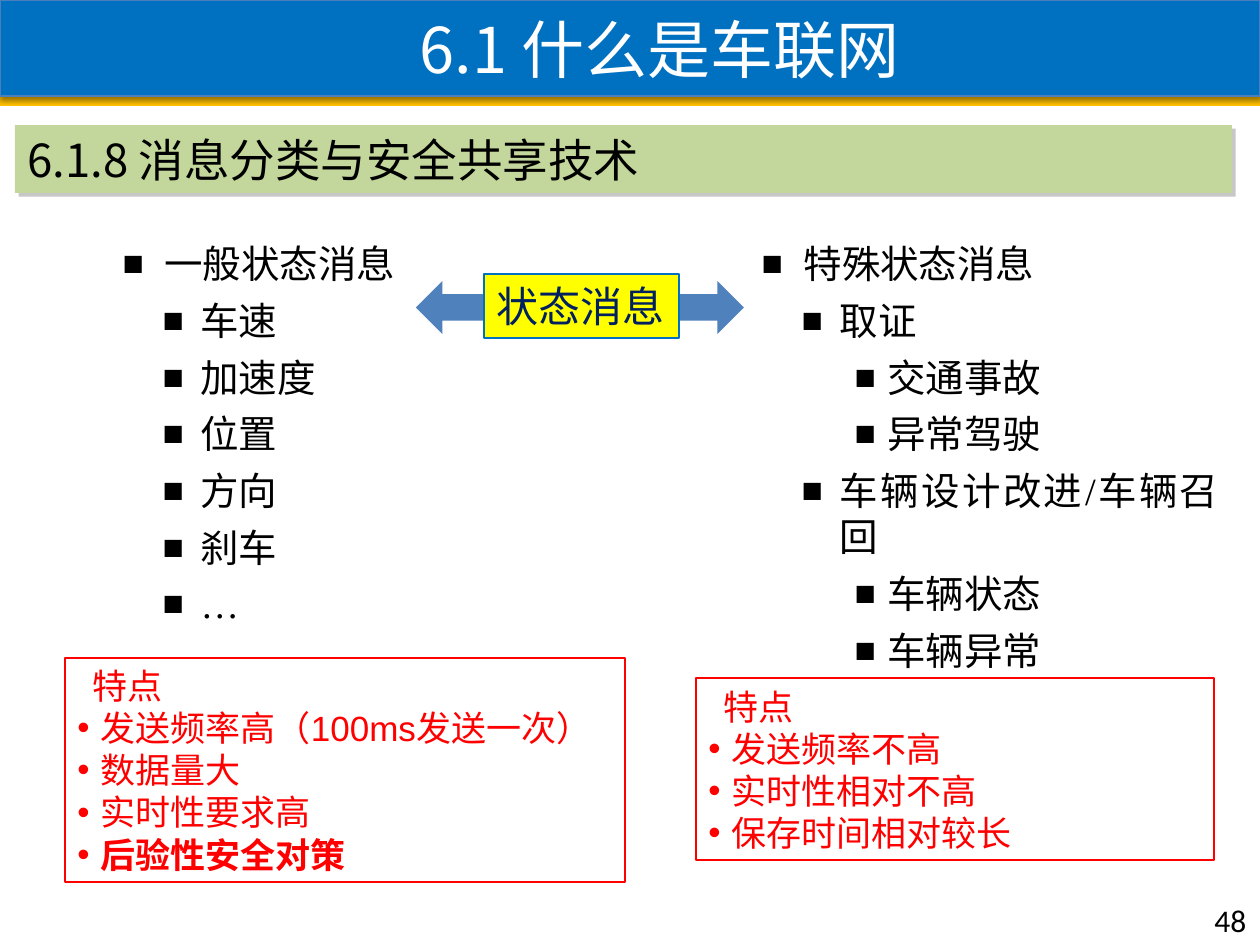
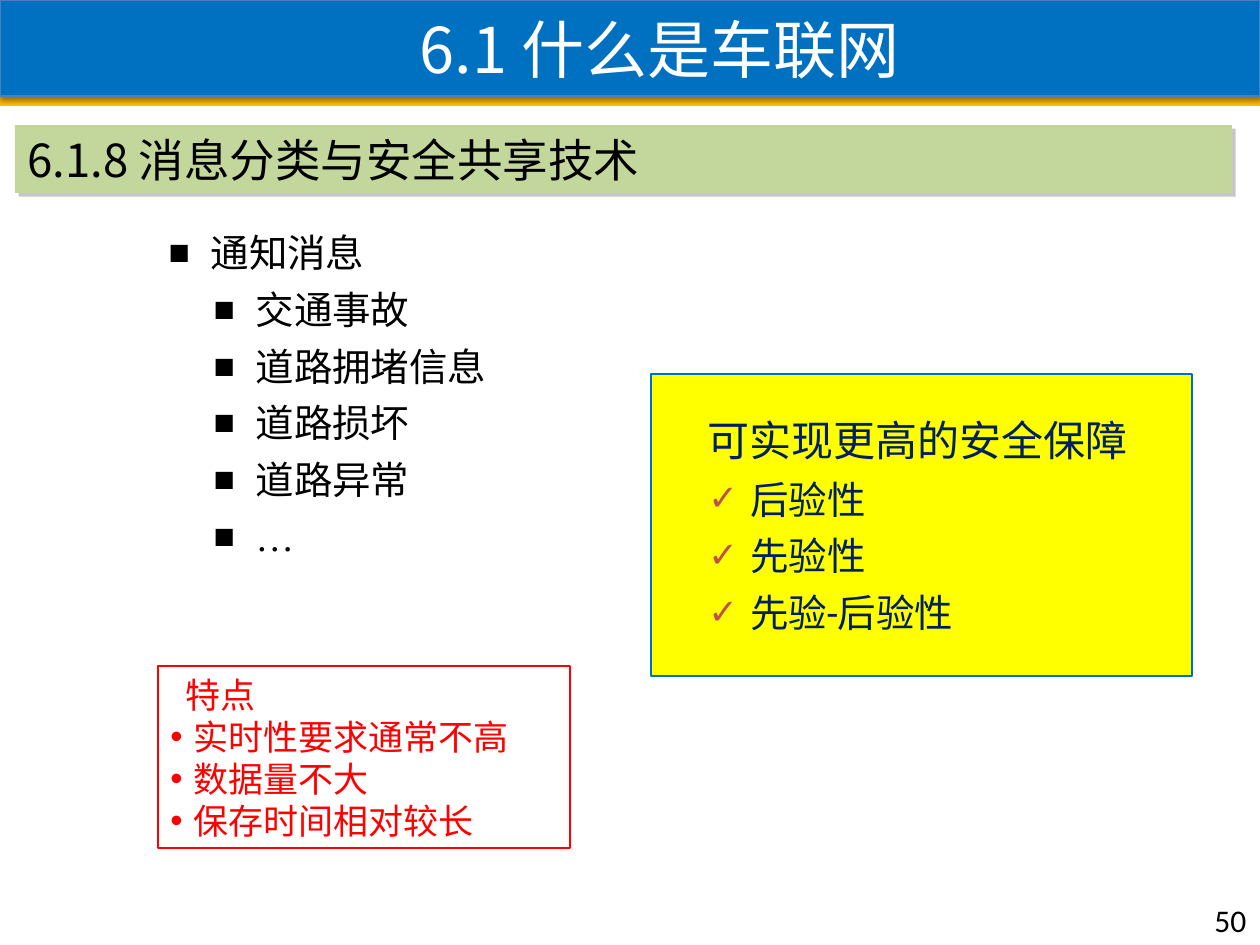
from lxml import etree
from pptx import Presentation
from pptx import util as u
from pptx.dml.color import RGBColor
from pptx.enum import shapes, text
from pptx.oxml import ns

EMU_PER_PX = 914400 / 126

BLUE = RGBColor(0x00, 0x70, 0xC0)
TITLE_EDGE = RGBColor(0x4B, 0x7E, 0xBC)
GOLD = RGBColor(0xFF, 0xC0, 0x00)
GREEN = RGBColor(0xC3, 0xD6, 0x9B)
YELLOW = RGBColor(0xFF, 0xFF, 0x00)
ARROW_BLUE = RGBColor(0x4F, 0x81, 0xBD)
NAVY = RGBColor(0x00, 0x20, 0x60)
RED = RGBColor(0xFF, 0x00, 0x00)
BRICK = RGBColor(0xC0, 0x50, 0x4D)
GREY = RGBColor(0x80, 0x80, 0x80)
BLACK = RGBColor(0x00, 0x00, 0x00)
WHITE = RGBColor(0xFF, 0xFF, 0xFF)

CJK_FONT = "Noto Sans CJK SC"
LEFT, JUSTIFY, CENTER = (
    text.PP_ALIGN.LEFT, text.PP_ALIGN.JUSTIFY, text.PP_ALIGN.CENTER)

# Left margin and hanging width of each list level, in px
STATUS_INDENTS = [(87, 42), (123, 38), (171, 33)]
NOTICE_INDENTS = [(42, 42), (87, 42)]


def px(length):
    return u.Emu(round(length * EMU_PER_PX))


def add_element(parent, tag, **attributes):
    return etree.SubElement(
        parent, ns.qn(tag), {key: str(value) for key, value in attributes.items()})


class Lecture:
    def __init__(self):
        self.deck = Presentation()
        self.deck.slide_width, self.deck.slide_height = px(1260), px(945)
        self.page = None

    def new_page(self, layout, number):
        self.page = self.deck.slides.add_slide(self.deck.slide_layouts[layout])
        self.title("6.1 什么是车联网")
        section = self.box((15, 125, 1217, 68), GREEN)
        self.shadow(section, GREY, 43, 0, 3, 45)
        self.label(section, "6.1.8 消息分类与安全共享技术", 26, CJK_FONT, BLACK)
        corner = self.page.shapes.add_textbox(*map(px, (1202, 895, 59, 50)))
        self.label(corner, str(number), 18, "Calibri", BLACK)

    def share_band(self):
        """Put the gold band under the title on the slide master."""
        band = self.box((0, 96, 1260, 10), GOLD)
        self.deck.slide_master.shapes._spTree.insert(2, band._element)

    def place(self, shape, area):
        shape.left, shape.top, shape.width, shape.height = map(px, area)

    def paint(self, shape, fill=None, line=None):
        if fill is None:
            shape.fill.background()
        else:
            shape.fill.solid()
            shape.fill.fore_color.rgb = fill
        if line is None:
            shape.line.fill.background()
        else:
            shape.line.color.rgb = line
            shape.line.width = u.Pt(0.75)

    def shadow(self, shape, color, alpha, blur, distance, angle):
        properties = shape._element.spPr
        for effects in properties.findall(ns.qn("a:effectLst")):
            properties.remove(effects)
        effects = add_element(properties, "a:effectLst")
        outer = add_element(
            effects, "a:outerShdw", blurRad=u.Pt(blur), dist=u.Pt(distance),
            dir=angle * 60000, algn="ctr", rotWithShape=0)
        tone = add_element(outer, "a:srgbClr", val=color)
        add_element(tone, "a:alpha", val=alpha * 1000)

    def box(self, area, fill=None, line=None, kind=shapes.MSO_SHAPE.RECTANGLE):
        shape = self.page.shapes.add_shape(kind, *map(px, area))
        shape.shadow.inherit = False
        self.paint(shape, fill, line)
        return shape

    def title(self, wording):
        shape = self.page.shapes.title
        self.place(shape, (0, 0, 1260, 96))
        self.paint(shape, BLUE, TITLE_EDGE)
        self.shadow(shape, BLACK, 38, 3.1, 1.6, 90)
        shape.text_frame.auto_size = text.MSO_AUTO_SIZE.NONE
        shape.text_frame.vertical_anchor = text.MSO_ANCHOR.MIDDLE
        self.label(shape, wording, 36, CJK_FONT, WHITE, CENTER)
        shape.text_frame.margin_left = px(72)

    def span(self, para, wording, size, font, color, bold=False):
        run = para.add_run()
        run.text = wording
        run.font.size, run.font.name, run.font.bold = u.Pt(size), font, bold
        run.font.color.rgb = color
        add_element(run._r.get_or_add_rPr(), "a:ea", typeface=CJK_FONT)

    def label(self, shape, wording, size, font, color, align=LEFT):
        """Fill a shape with one unwrapped line."""
        shape.text_frame.word_wrap = False
        para = shape.text_frame.paragraphs[0]
        para.alignment = align
        self.span(para, wording, size, font, color)

    def next_para(self, frame, align, margin, hang=0, bullet=None,
                  bullet_color=None, bullet_size=100, after=0):
        first = frame.paragraphs[0]
        para = frame.add_paragraph() if first.runs else first
        properties = para._p.get_or_add_pPr()
        properties.set("marL", str(px(margin)))
        properties.set("indent", str(px(-hang)))
        if bullet:
            if bullet_color is not None:
                add_element(add_element(properties, "a:buClr"),
                            "a:srgbClr", val=bullet_color)
            add_element(properties, "a:buSzPct", val=bullet_size * 1000)
            add_element(properties, "a:buFont", typeface="Arial")
            add_element(properties, "a:buChar", char=bullet)
        para.alignment = align
        para.space_before, para.space_after = u.Pt(0), u.Pt(after)
        return para

    def outline(self, index, area, items, indents, align):
        """Fill a body placeholder with (level, wording) items."""
        body = self.page.placeholders[index]
        self.place(body, area)
        frame = body.text_frame
        frame.auto_size = text.MSO_AUTO_SIZE.NONE
        frame.vertical_anchor = text.MSO_ANCHOR.TOP
        for level, wording in items:
            para = self.next_para(frame, align, *indents[level], bullet="■",
                                  bullet_size=92, after=6)
            para.level = level
            self.span(para, wording, 22, "Times New Roman", BLACK)

    def features(self, area, items, bold_item=None):
        frame = self.box(area, line=RED).text_frame
        frame.word_wrap = True
        heading = self.next_para(frame, JUSTIFY, 15)
        self.span(heading, "特点", 20, "Arial", RED)
        for wording in items:
            para = self.next_para(frame, JUSTIFY, 23, 23, "•")
            self.span(para, wording, 20, "Arial", RED, wording == bold_item)

    def status_label(self):
        shape = self.box((484, 274, 195, 64), YELLOW, BLUE)
        self.label(shape, "状态消息", 24, CJK_FONT, NAVY)

    def assurance(self, area, heading, items):
        frame = self.box(area, YELLOW, BLUE).text_frame
        frame.word_wrap = True
        para = self.next_para(frame, LEFT, 44, after=6)
        self.span(para, heading, 24, "Roboto", NAVY)
        for wording in items:
            para = self.next_para(frame, LEFT, 87, 42, "✓", BRICK, 92, 6)
            self.span(para, wording, 22, "Roboto", NAVY)


def status_page(lecture):
    lecture.new_page(3, 48)
    lecture.outline(1, (65, 234, 411, 400), [
        (0, "一般状态消息"), (1, "车速"), (1, "加速度"), (1, "位置"),
        (1, "方向"), (1, "刹车"), (1, "…"),
    ], STATUS_INDENTS, JUSTIFY)
    lecture.outline(2, (704, 234, 527, 302), [
        (0, "特殊状态消息"), (1, "取证"), (2, "交通事故"), (2, "异常驾驶"),
        (1, "车辆设计改进/车辆召回"), (2, "车辆状态"), (2, "车辆异常"),
    ], STATUS_INDENTS, JUSTIFY)
    lecture.box((416, 281, 328, 53), ARROW_BLUE,
                kind=shapes.MSO_SHAPE.LEFT_RIGHT_ARROW)
    lecture.status_label()
    lecture.features((65, 658, 560, 224), [
        "发送频率高（100ms发送一次）", "数据量大", "实时性要求高", "后验性安全对策",
    ], bold_item="后验性安全对策")
    lecture.features((696, 678, 518, 182), [
        "发送频率不高", "实时性相对不高", "保存时间相对较长"])


def notice_page(lecture):
    lecture.new_page(1, 50)
    lecture.outline(1, (156, 223, 379, 437), [
        (0, "通知消息"), (1, "交通事故"), (1, "道路拥堵信息"),
        (1, "道路损坏"), (1, "道路异常"), (1, "…"),
    ], NOTICE_INDENTS, LEFT)
    lecture.assurance((651, 374, 541, 302), "可实现更高的安全保障",
                      ["后验性", "先验性", "先验-后验性"])
    lecture.features((158, 666, 412, 182), [
        "实时性要求通常不高", "数据量不大", "保存时间相对较长"])


def main():
    lecture = Lecture()
    status_page(lecture)
    lecture.share_band()
    notice_page(lecture)
    lecture.deck.save("out.pptx")


if __name__ == "__main__":
    main()
